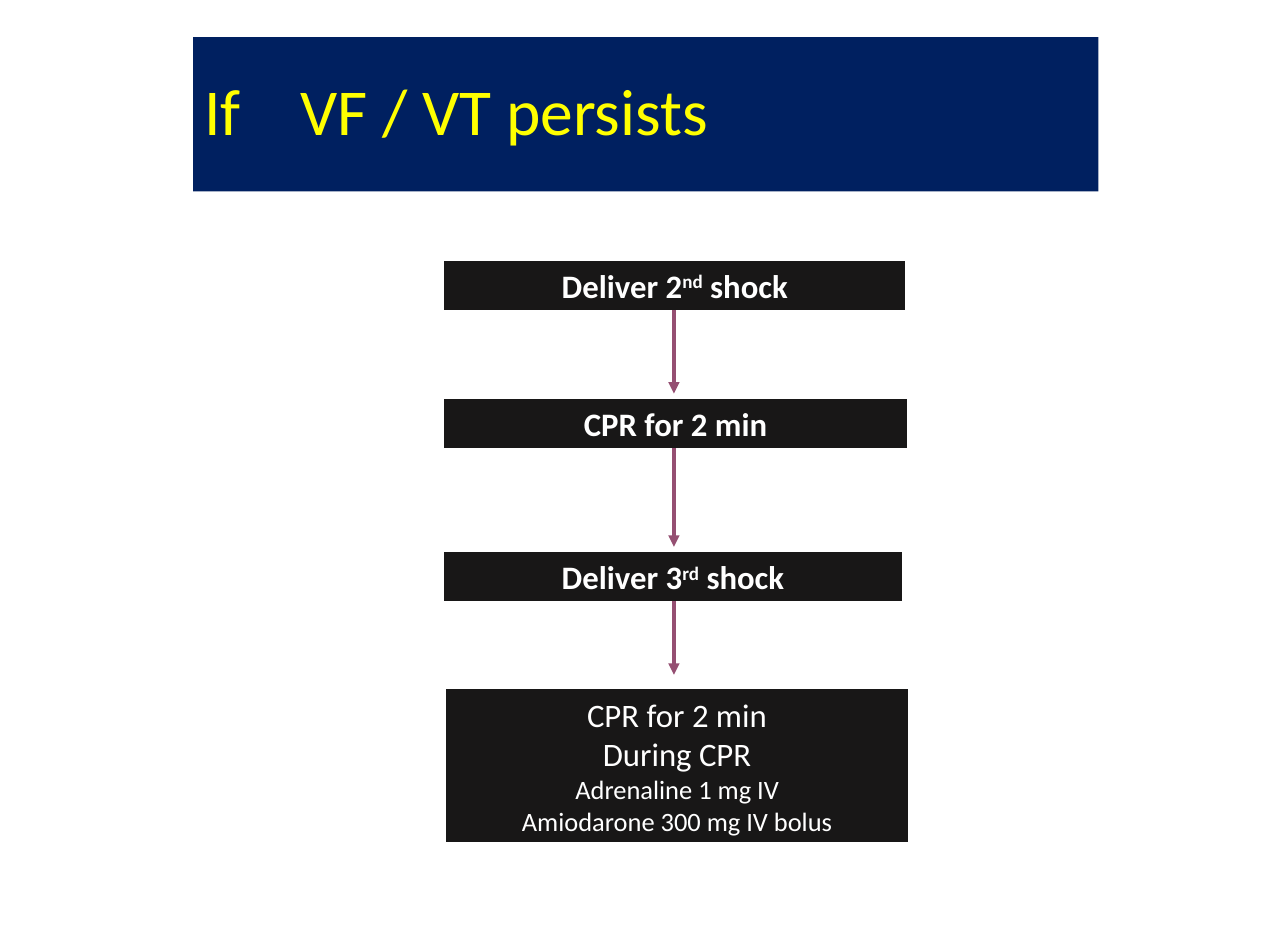
from typing import NamedTuple

from lxml.etree import SubElement
from pptx import Presentation
from pptx.dml.color import RGBColor
from pptx.enum.shapes import MSO_CONNECTOR as Link, MSO_SHAPE as Kind
from pptx.enum.text import MSO_ANCHOR as Anchor, PP_ALIGN as Align
from pptx.oxml.ns import qn
from pptx.util import Pt

PX = 9144  # 100 px to the inch
NAVY, YELLOW, BLACK, WHITE, PLUM = "002060", "FFFF00", "181717", "FFFFFF", "954F72"


class Line(NamedTuple):
    text: str  # "^" sets off a raised part
    size: int = 26
    bold: bool = False


class Box(NamedTuple):
    left: int
    top: int
    width: int
    height: int
    lines: list[Line]


class Arrow(NamedTuple):
    top: int
    end: int


TITLE = Box(213, 41, 998, 170, [Line("If\tVF / VT persists", 52)])
STEPS = [
    Box(490, 288, 508, 54, [Line("Deliver 2^nd^ shock", bold=True)]),
    Box(490, 440, 510, 54, [Line("CPR for 2 min", bold=True)]),
    Box(490, 609, 504, 54, [Line("Deliver 3^rd^ shock", bold=True)]),
    Box(492, 760, 509, 169, [
        Line("CPR for 2 min"),
        Line("During CPR"),
        Line("Adrenaline 1 mg IV", 21),
        Line("Amiodarone 300 mg IV bolus", 21),
    ]),
]
ARROWS = [Arrow(338, 434), Arrow(488, 603), Arrow(642, 744)]
AXIS = 743
TAB = 106


def rgb(code: str) -> RGBColor:
    return RGBColor.from_string(code)


def write(para, text: str, *, size: int, color: str, bold: bool = False,
          align=Align.CENTER) -> None:
    """Add text to a paragraph, raising every part between two "^" marks."""
    para.alignment = align
    for i, part in enumerate(text.split("^")):
        run = para.add_run()
        run.text = part
        font = run.font
        font.name, font.size, font.bold = "Calibri", Pt(size), bold
        font.color.rgb = rgb(color)
        if i % 2:
            run._r.get_or_add_rPr().set("baseline", "30000")


def draw_box(slide, box: Box, kind, fill: str, color: str, align=Align.CENTER,
             inset: tuple[int, int] = (10, 5)):
    shape = slide.shapes.add_shape(kind, *(n * PX for n in box[:4]))
    shape.shadow.inherit = False
    shape.fill.solid()
    shape.fill.fore_color.rgb = rgb(fill)
    shape.line.fill.background()
    frame = shape.text_frame
    frame.word_wrap = True
    frame.vertical_anchor = Anchor.MIDDLE
    frame.margin_left = frame.margin_right = inset[0] * PX
    frame.margin_top = frame.margin_bottom = inset[1] * PX
    for i, line in enumerate(box.lines):
        para = frame.add_paragraph() if i else frame.paragraphs[0]
        write(para, line.text, size=line.size, color=color, bold=line.bold, align=align)
    return shape


def draw_title(slide) -> None:
    shape = draw_box(slide, TITLE, Kind.RECTANGLE, NAVY, YELLOW, Align.LEFT, (12, 6))
    para = shape.text_frame.paragraphs[0]
    para.line_spacing = 0.9
    tabs = SubElement(para._p.get_or_add_pPr(), qn("a:tabLst"))
    SubElement(tabs, qn("a:tab"), pos=str(TAB * PX), algn="l")


def draw_arrow(slide, arrow: Arrow) -> None:
    link = slide.shapes.add_connector(
        Link.STRAIGHT, AXIS * PX, arrow.top * PX, AXIS * PX, arrow.end * PX)
    link.line.color.rgb = rgb(PLUM)
    link.line.width = Pt(3)
    SubElement(link.line._get_or_add_ln(), qn("a:tailEnd"), type="triangle")
    SubElement(link._element.spPr, qn("a:effectLst"))


def main() -> None:
    deck = Presentation()
    deck.slide_width, deck.slide_height = 1420 * PX, 1020 * PX
    slide = deck.slides.add_slide(deck.slide_layouts[6])
    draw_title(slide)
    for arrow in ARROWS:
        draw_arrow(slide, arrow)
    for step in STEPS:
        draw_box(slide, step, Kind.FLOWCHART_PROCESS, BLACK, WHITE)
    deck.save("out.pptx")


if __name__ == "__main__":
    main()
